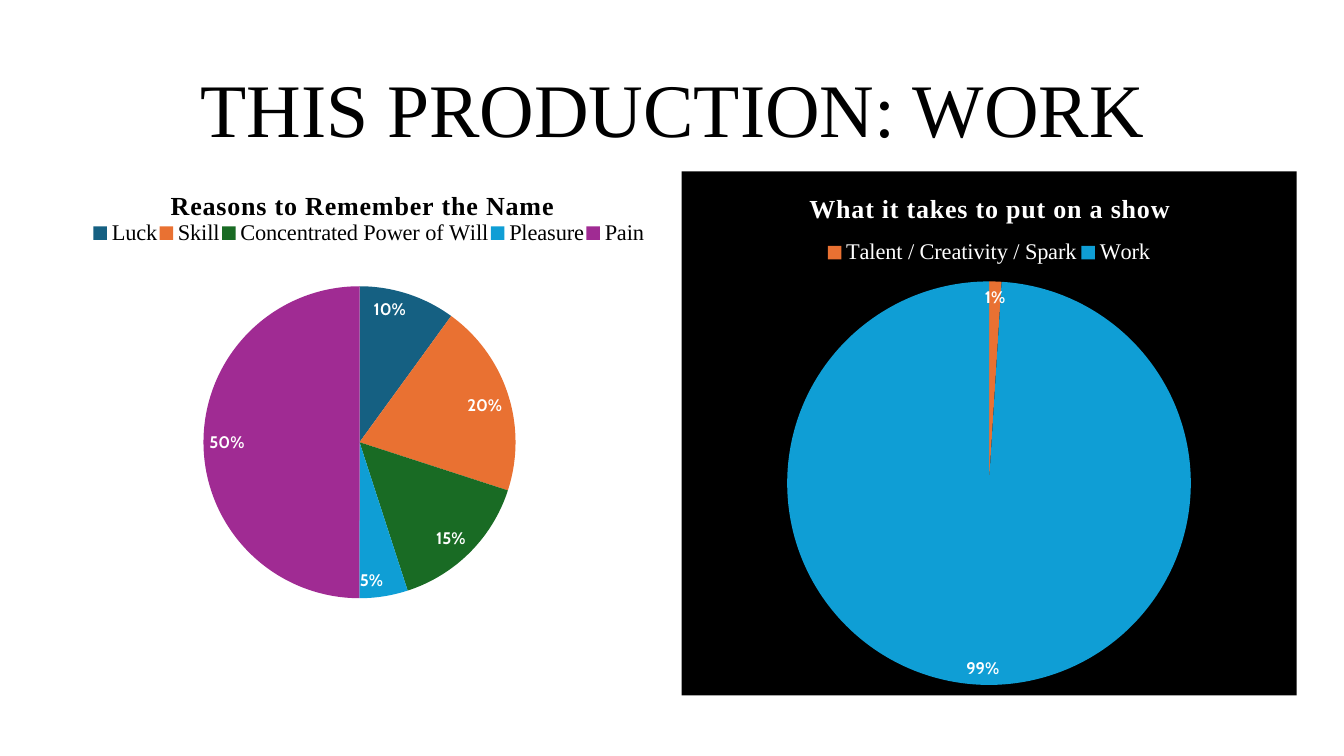
from lxml import etree
from pptx import Presentation
from pptx import util as u
from pptx.chart.data import CategoryChartData
from pptx.dml.color import RGBColor
from pptx.enum import chart as ch, text
from pptx.oxml import parse_xml
from pptx.oxml.ns import nsdecls, qn

BLACK = RGBColor(0x00, 0x00, 0x00)
WHITE = RGBColor(0xFF, 0xFF, 0xFF)
NAVY = RGBColor(0x15, 0x60, 0x82)
ORANGE = RGBColor(0xE9, 0x71, 0x32)
GREEN = RGBColor(0x19, 0x6B, 0x24)
BLUE = RGBColor(0x0F, 0x9E, 0xD5)
PURPLE = RGBColor(0xA0, 0x2B, 0x93)


class Deck:
    serif = "Times New Roman"
    sans = "Cabin"

    def __init__(self, width, height):
        self.prs = Presentation()
        self.prs.slide_width = u.Inches(width)
        self.prs.slide_height = u.Inches(height)
        self.s = self.prs.slides.add_slide(self.prs.slide_layouts[5])

    def box(self, x, y, w, h):
        """Turn percentages of the slide into lengths."""
        sw, sh = self.prs.slide_width, self.prs.slide_height
        return [int(v * side / 100) for v, side in ((x, sw), (y, sh), (w, sw), (h, sh))]

    def style(self, font, name, size, color, bold=False):
        font.name, font.size, font.bold = name, u.Pt(size), bold
        font.color.rgb = color

    def title(self, words, place):
        sp = self.s.shapes.title
        sp.left, sp.top, sp.width, sp.height = self.box(*place)
        tf = sp.text_frame
        tf.text = words
        tf.vertical_anchor = text.MSO_ANCHOR.MIDDLE
        p = tf.paragraphs[0]
        p.alignment = text.PP_ALIGN.CENTER
        p.line_spacing = 0.9
        self.style(p.runs[0].font, self.serif, 54, BLACK)

    def layout(self, part, before, **shares):
        """Place a chart part by shares of the chart, after its child 'before'."""
        for old in part.findall(qn("c:layout")):
            part.remove(old)
        new = parse_xml(f'<c:layout {nsdecls("c")}><c:manualLayout/></c:layout>')
        manual = new[0]
        if before is None:
            etree.SubElement(manual, qn("c:layoutTarget")).set("val", "inner")
            part.insert(0, new)
        else:
            part.find(qn(before)).addnext(new)
        for axis in "xy":
            etree.SubElement(manual, qn(f"c:{axis}Mode")).set("val", "edge")
        for key, share in shares.items():
            etree.SubElement(manual, qn(f"c:{key}")).set("val", str(share))

    def pie(self, heading, slices, place, ink, title_at, legend_at, plot_at, fill=None):
        data = CategoryChartData()
        data.categories = [name for name, _, _ in slices]
        data.add_series("Series 1", [value for _, value, _ in slices])
        chart = self.s.shapes.add_chart(
            ch.XL_CHART_TYPE.PIE, *self.box(*place), data).chart
        self.style(chart.font, self.sans, 10, ink)
        space = chart.element

        # Chart title
        tf = chart.chart_title.text_frame
        tf.text = heading
        r = tf.paragraphs[0].runs[0]
        self.style(r.font, self.serif, 18.6, ink, True)
        r.font._element.set("spc", "50")
        self.layout(space.find(".//" + qn("c:title")), "c:tx", **title_at)

        # Legend
        chart.has_legend = True
        chart.legend.position = ch.XL_LEGEND_POSITION.TOP
        chart.legend.include_in_layout = False
        self.style(chart.legend.font, self.serif, 16, ink)
        self.layout(space.find(".//" + qn("c:legend")), "c:legendPos", **legend_at)

        # Slices and percentages
        plot = chart.plots[0]
        plot.vary_by_categories = True
        self.layout(space.find(".//" + qn("c:plotArea")), None, **plot_at)
        for i, (_, _, color) in enumerate(slices):
            point = plot.series[0].points[i].format.fill
            point.solid()
            point.fore_color.rgb = color
        plot.has_data_labels = True
        labels = plot.data_labels
        labels.show_percentage, labels.show_value = True, False
        labels.number_format, labels.number_format_is_linked = "0%", False
        labels.position = ch.XL_LABEL_POSITION.INSIDE_END
        self.style(labels.font, self.sans, 12, WHITE, True)

        # Chart background
        paint = "<a:noFill/>" if fill is None else (
            f'<a:solidFill><a:srgbClr val="{fill}"/></a:solidFill>')
        space.find(qn("c:chart")).addnext(parse_xml(
            f'<c:spPr {nsdecls("c", "a")}>{paint}<a:ln><a:noFill/></a:ln></c:spPr>'))


def main():
    deck = Deck(13.33, 7.5)
    deck.title("THIS PRODUCTION: WORK", (6.9, 5.33, 86.27, 19.33))

    # Left: the song's recipe
    deck.pie("Reasons to Remember the Name",
             [("Luck", 10, NAVY), ("Skill", 20, ORANGE),
              ("Concentrated Power of Will", 15, GREEN),
              ("Pleasure", 5, BLUE), ("Pain", 50, PURPLE)],
             (3.53, 22.67, 46.44, 58.27), BLACK,
             title_at=dict(x=0.19, y=0.03),
             legend_at=dict(x=0.07, y=0.11, w=0.89, h=0.06),
             plot_at=dict(x=0.25, y=0.26, w=0.5, h=0.71))

    # Right: the show's recipe
    deck.pie("What it takes to put on a show",
             [("Talent / Creativity / Spark", 1, ORANGE), ("Work", 99, BLUE)],
             (50.71, 22.67, 45.76, 69.33), WHITE,
             title_at=dict(x=0.2, y=0.03),
             legend_at=dict(x=0.23, y=0.13, w=0.54, h=0.05),
             plot_at=dict(x=0.17, y=0.21, w=0.66, h=0.77),
             fill=BLACK)

    deck.prs.save("out.pptx")


if __name__ == "__main__":
    main()
